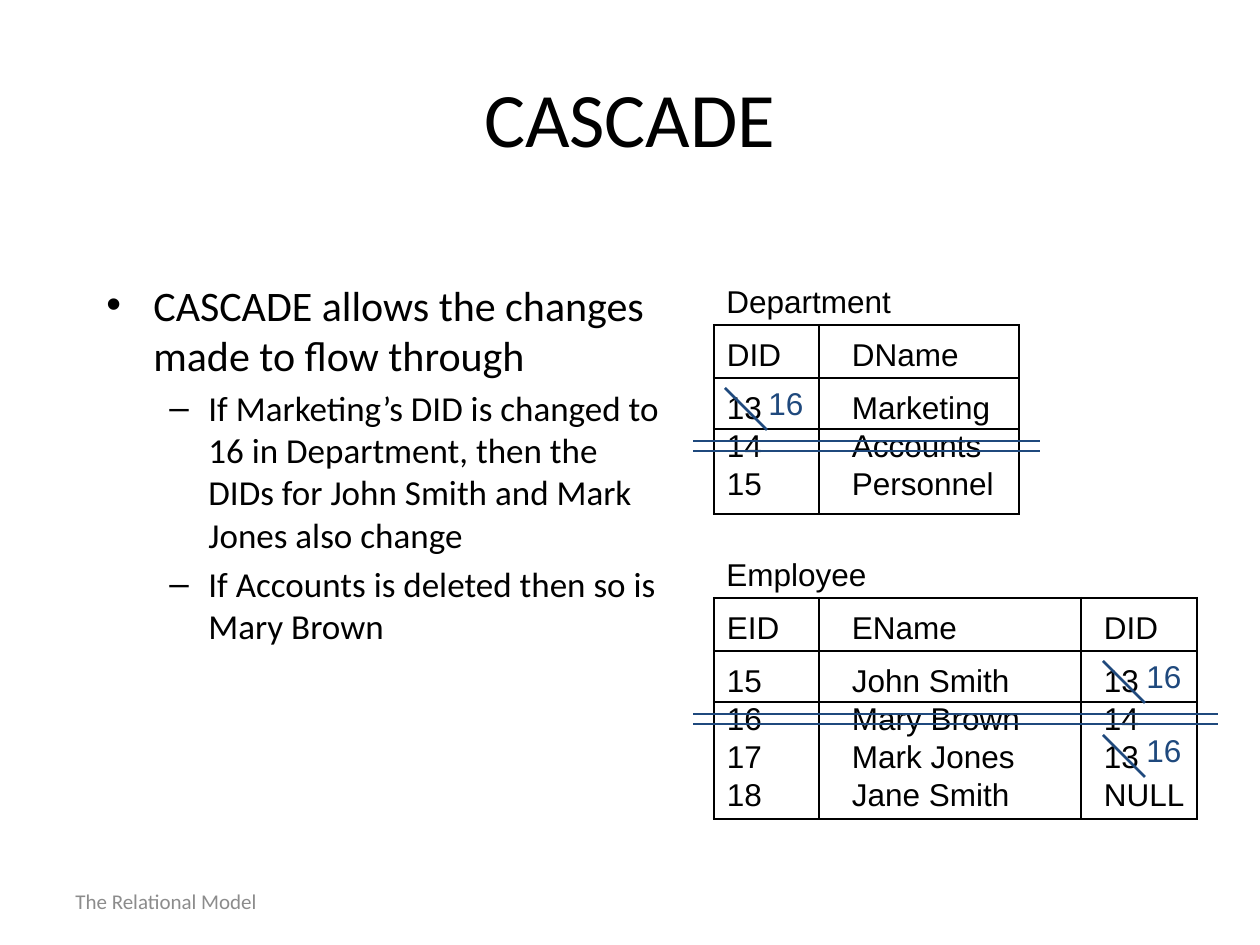
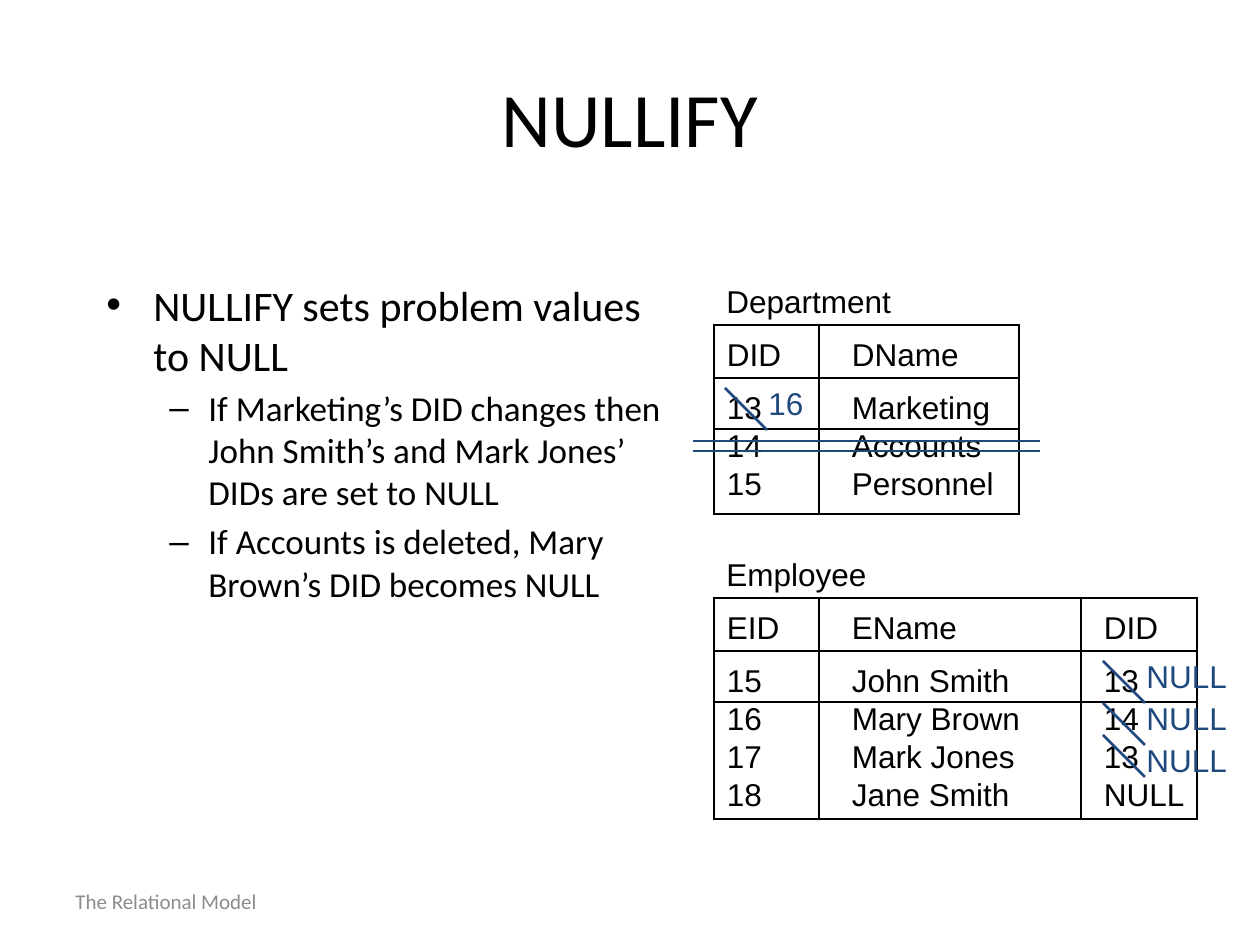
from lxml import etree
from pptx import Presentation
from pptx.dml.color import RGBColor
from pptx.enum.shapes import MSO_CONNECTOR
from pptx.enum.text import MSO_ANCHOR as ANCHOR, PP_ALIGN as ALIGN
from pptx.oxml.ns import qn
from pptx.util import Emu, Pt

# ---- Content ----
FOOTER = "The Relational Model"

TABLES = [
    dict(name="Department", top=325, height=189, cols=[105, 200],
         rows=[("DID", "DName"), ("13", "Marketing"), ("14", "Accounts"),
               ("15", "Personnel")]),
    dict(name="Employee", top=598, height=221, cols=[105, 262, 116],
         rows=[("EID", "EName", "DID"), ("15", "John Smith", "13"),
               ("16", "Mary Brown", "14"), ("17", "Mark Jones", "13"),
               ("18", "Jane Smith", "NULL")]),
]

# Strikes: (top, right end). Corrections: (left, slash top, text top, new value).
ACCOUNTS_STRIKE, BROWN_STRIKE = (441, 1040), (714, 1218)
DEPT_FIX = (725, 388, 378, "16")

SLIDES = [
    dict(title="CASCADE", body_width=588,
         body=[(0, "CASCADE allows the changes made to flow through"),
               (1, "If Marketing’s DID is changed to 16 in Department, then the "
                   "DIDs for John Smith and Mark Jones also change"),
               (1, "If Accounts is deleted then so is Mary Brown")],
         strikes=[ACCOUNTS_STRIKE, BROWN_STRIKE],
         fixes=[DEPT_FIX, (1103, 661, 651, "16"), (1103, 735, 725, "16")]),
    dict(title="NULLIFY", body_width=598,
         body=[(0, "NULLIFY sets problem values to NULL"),
               (1, "If Marketing’s DID changes then John Smith’s and "
                   "Mark Jones’ DIDs are set to NULL"),
               (1, "If Accounts is deleted, Mary Brown’s DID becomes NULL")],
         strikes=[ACCOUNTS_STRIKE],
         fixes=[DEPT_FIX, (1103, 661, 651, "NULL"), (1103, 703, 693, "NULL"),
                (1103, 735, 735, "NULL")]),
]

# ---- Shared style ----
BLACK, GREY, BLUE = "000000", "8C8C8C", "1F497D"
SANS, HEAD = "Arial", "Calibri"
LINE_PT = 1.5
TABLE_LEFT, HEADER_H, ROW_H, PAD = 714, 53, 38, 13
CELL_INDENTS = [13, 33, 23]
STRIKE_LEFT, STRIKE_GAP, SLASH = 693, 10, 42
# Bullet levels: character, size, left margin, hanging indent
LEVELS = [("•", 24, 47, 47), ("–", 20, 102, 39)]
NO_STYLE = "{2D5ABB26-0587-4C30-8999-92F81FD0307C}"


def px(n):
    return Emu(round(n * 914400 / 126))


def rgb(color):
    return RGBColor.from_string(color)


def write(p, text, size=18, font=SANS, color=BLACK, align=ALIGN.LEFT):
    p.alignment = align
    r = p.add_run()
    r.text = text
    r.font.size, r.font.name = Pt(size), font
    r.font.color.rgb = rgb(color)


def add_box(slide, x, y, w, h, anchor=ANCHOR.TOP, wrap=True):
    tf = slide.shapes.add_textbox(px(x), px(y), px(w), px(h)).text_frame
    tf.word_wrap, tf.vertical_anchor = wrap, anchor
    return tf


def add_text(slide, x, y, w, h, text, anchor=ANCHOR.TOP, wrap=True, **fmt):
    tf = add_box(slide, x, y, w, h, anchor, wrap)
    write(tf.paragraphs[0], text, **fmt)


def add_line(slide, x1, y1, x2, y2):
    c = slide.shapes.add_connector(MSO_CONNECTOR.STRAIGHT,
                                   px(x1), px(y1), px(x2), px(y2))
    c.line.color.rgb, c.line.width = rgb(BLUE), Pt(LINE_PT)
    etree.SubElement(c._element.spPr, qn("a:effectLst"))


def add_bullets(slide, width, items):
    tf = add_box(slide, 94, 273, width, 567)
    for i, (level, text) in enumerate(items):
        char, size, left, hang = LEVELS[level]
        p = tf.add_paragraph() if i else tf.paragraphs[0]
        p.space_before = Pt(size * 0.2)
        write(p, text, size=size, font=HEAD)
        pPr = p._p.get_or_add_pPr()
        pPr.set("marL", str(px(left)))
        pPr.set("indent", str(-px(hang)))
        etree.SubElement(pPr, qn("a:buFont"), typeface=SANS)
        etree.SubElement(pPr, qn("a:buChar"), char=char)


def set_borders(cell, edges):
    tcPr = cell._tc.get_or_add_tcPr()
    for edge in "LRTB":
        if edge in edges:
            ln = etree.SubElement(tcPr, qn("a:ln" + edge), w=str(Pt(LINE_PT)))
            fill = etree.SubElement(ln, qn("a:solidFill"))
            etree.SubElement(fill, qn("a:srgbClr"), val=BLACK)
    cell.fill.background()


def add_data_table(slide, name, top, height, cols, rows):
    add_text(slide, TABLE_LEFT, top - 49, sum(cols), 48, name)
    last = len(rows) - 1
    heights = [HEADER_H, ROW_H + PAD] + [ROW_H] * (last - 2)
    heights.append(height - sum(heights))
    table = slide.shapes.add_table(len(rows), len(cols), px(TABLE_LEFT), px(top),
                                   px(sum(cols)), px(height)).table
    table.first_row = table.horz_banding = False
    table._tbl.tblPr.find(qn("a:tableStyleId")).text = NO_STYLE
    for col, w in zip(table.columns, cols):
        col.width = px(w)
    for i, row in enumerate(rows):
        table.rows[i].height = px(heights[i])
        # Only the header and the outer frame have horizontal rules
        edges = "LR" + ("T" if i <= 1 else "") + ("B" if i in (0, last) else "")
        for j, text in enumerate(row):
            cell = table.cell(i, j)
            cell.margin_left, cell.margin_right = px(CELL_INDENTS[j]), 0
            cell.margin_top, cell.margin_bottom = px(PAD if i <= 1 else 0), 0
            cell.vertical_anchor = ANCHOR.TOP
            write(cell.text_frame.paragraphs[0], text)
            set_borders(cell, edges)


def build_slide(prs, title, body_width, body, strikes, fixes):
    slide = prs.slides.add_slide(prs.slide_layouts[6])
    add_text(slide, 63, 876, 294, 50, FOOTER, anchor=ANCHOR.MIDDLE,
             size=12, font=HEAD, color=GREY)
    add_text(slide, 63, 38, 1134, 158, title, anchor=ANCHOR.MIDDLE,
             size=44, font=HEAD, align=ALIGN.CENTER)
    add_bullets(slide, body_width, body)
    for data in TABLES:
        add_data_table(slide, **data)
    # Deleted rows: double strike
    for top, right in strikes:
        for y in (top, top + STRIKE_GAP):
            add_line(slide, STRIKE_LEFT, y, right, y)
    # Changed values: slash and new value beside it
    for x, slash_top, text_top, value in fixes:
        add_line(slide, x, slash_top, x + SLASH, slash_top + SLASH)
        add_text(slide, x + 31, text_top, 106 if value == "NULL" else 60, 50,
                 value, wrap=False, color=BLUE)


def main():
    prs = Presentation()
    prs.slide_width, prs.slide_height = px(1260), px(945)
    for content in SLIDES:
        build_slide(prs, **content)
    prs.save("out.pptx")


if __name__ == "__main__":
    main()
